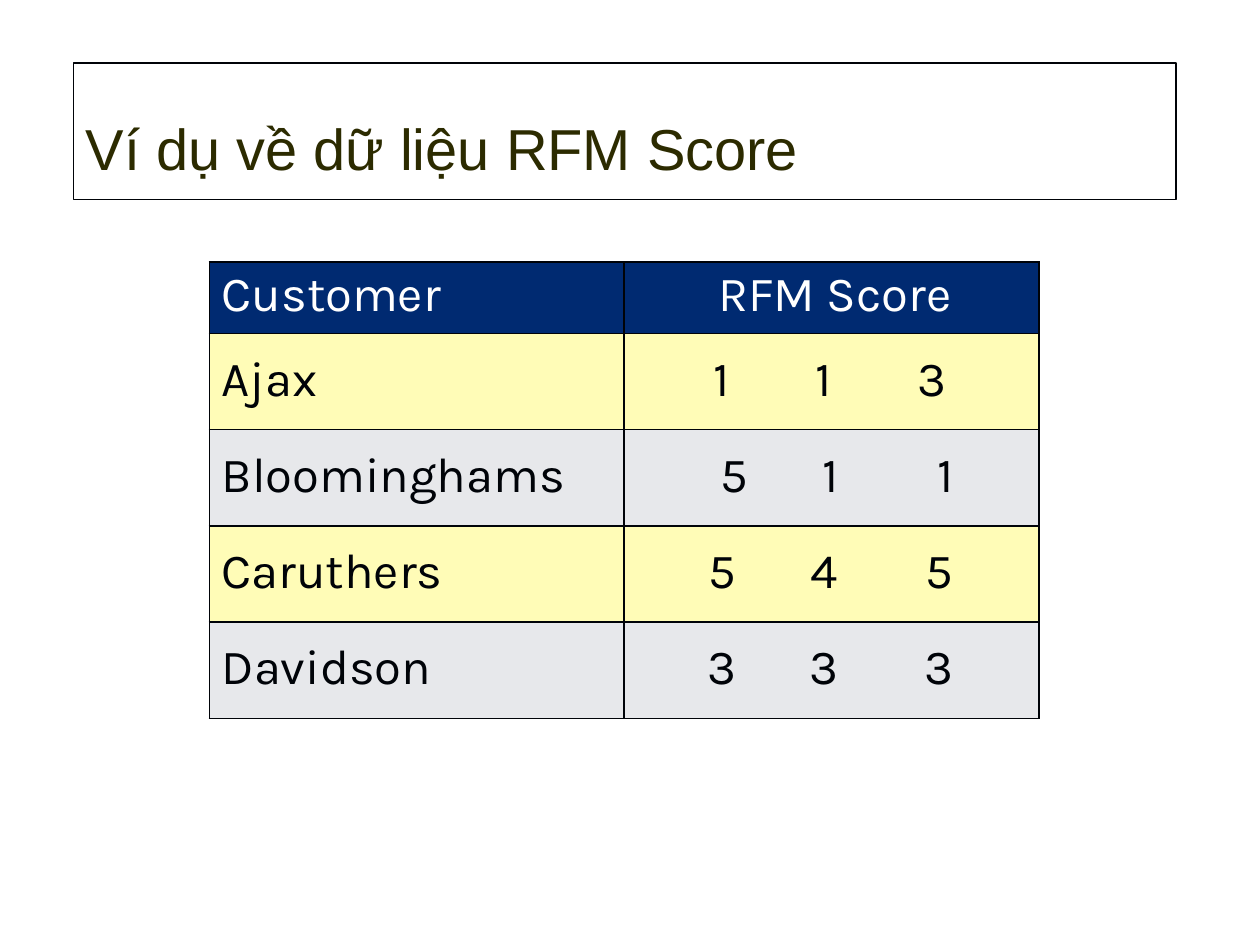
from lxml import etree
from pptx import Presentation
from pptx.dml.color import RGBColor
from pptx.enum.text import MSO_ANCHOR, MSO_AUTO_SIZE, PP_ALIGN
from pptx.oxml.ns import qn
from pptx.util import Cm, Pt

LEFT = PP_ALIGN.LEFT
MIDDLE, TOP = MSO_ANCHOR.MIDDLE, MSO_ANCHOR.TOP
NO_AUTOFIT = MSO_AUTO_SIZE.NONE

INK = RGBColor(0x00, 0x03, 0x08)
OLIVE = RGBColor(0x2C, 0x2B, 0x00)
NAVY = RGBColor(0x00, 0x2A, 0x71)
YELLOW = RGBColor(0xFF, 0xFC, 0xB7)
GREY = RGBColor(0xE7, 0xE8, 0xEB)
WHITE = RGBColor(0xFF, 0xFF, 0xFF)

TEXT_INDENT = 0.25
HEADER_HEIGHT, ROW_HEIGHT = 1.44, 1.94
HEADER_INSET, ROW_INSET = 0.1, 0.36
FIRST_TAB = 2.06
# Customer, scores, indent of the scores, second tab stop (cm)
CUSTOMERS = [
    ("Ajax", (1, 1, 3), 1.8, 4.11),
    ("Bloominghams", (5, 1, 1), 1.95, 4.37),
    ("Caruthers", (5, 4, 5), 1.7, 4.37),
    ("Davidson", (3, 3, 3), 1.68, 4.37),
]


def set_font(para, name, size, color):
    para.font.name = name
    para.font.size = Pt(size)
    para.font.color.rgb = color


def add_tabs(para, stops):
    tab_list = etree.SubElement(para._p.get_or_add_pPr(), qn("a:tabLst"))
    for stop in stops:
        etree.SubElement(tab_list, qn("a:tab"), pos=str(Cm(stop)), algn="l")


def add_borders(cell):
    properties = cell._tc.get_or_add_tcPr()
    for side in ("lnL", "lnR", "lnT", "lnB"):
        line = etree.SubElement(properties, qn(f"a:{side}"), w=str(Pt(1)))
        fill = etree.SubElement(line, qn("a:solidFill"))
        etree.SubElement(fill, qn("a:srgbClr"), val=str(INK))


def fill_cell(cell, text, indent, inset, fill, color, tabs=()):
    add_borders(cell)
    cell.fill.solid()
    cell.fill.fore_color.rgb = fill
    cell.margin_left, cell.margin_top = Cm(indent), Cm(inset)
    cell.margin_right = cell.margin_bottom = 0
    cell.vertical_anchor = TOP
    cell.text = text
    para = cell.text_frame.paragraphs[0]
    para.alignment = LEFT
    if tabs:
        add_tabs(para, tabs)
    set_font(para, "Karla", 28, color)


def place_title(page, left, top, width, height):
    title = page.shapes.title
    title.left, title.top = Cm(left), Cm(top)
    title.width, title.height = Cm(width), Cm(height)
    title.line.color.rgb = INK
    title.line.width = Pt(0.75)
    frame = title.text_frame
    frame.auto_size = NO_AUTOFIT
    frame.vertical_anchor = MIDDLE
    frame.margin_left, frame.margin_top = Cm(TEXT_INDENT), Cm(0.66)
    frame.margin_right = frame.margin_bottom = 0
    frame.text = "Ví dụ về dữ liệu RFM Score"
    para = frame.paragraphs[0]
    para.alignment = LEFT
    set_font(para, "Arial", 33, OLIVE)


def add_score_table(page, left, top, width):
    height = HEADER_HEIGHT + ROW_HEIGHT * len(CUSTOMERS)
    table = page.shapes.add_table(
        len(CUSTOMERS) + 1, 2, Cm(left), Cm(top), Cm(width), Cm(height)
    ).table
    for column in table.columns:
        column.width = Cm(width / 2)
    for row in table.rows:
        row.height = Cm(ROW_HEIGHT)
    table.rows[0].height = Cm(HEADER_HEIGHT)

    for column, (heading, indent) in enumerate(
        [("Customer", TEXT_INDENT), ("RFM Score", 1.9)]
    ):
        fill_cell(table.cell(0, column), heading, indent, HEADER_INSET, NAVY, WHITE)
    for row, (name, scores, indent, last_tab) in enumerate(CUSTOMERS, 1):
        fill = YELLOW if row % 2 else GREY
        fill_cell(table.cell(row, 0), name, TEXT_INDENT, ROW_INSET, fill, INK)
        fill_cell(table.cell(row, 1), "\t".join(map(str, scores)), indent,
                  ROW_INSET, fill, INK, (FIRST_TAB, last_tab))


def main():
    deck = Presentation()
    deck.slide_width, deck.slide_height = Cm(25.4), Cm(19.05)
    page = deck.slides.add_slide(deck.slide_layouts[5])
    place_title(page, 1.48, 1.27, 22.23, 2.75)
    add_score_table(page, 4.22, 5.28, 16.72)
    deck.save("out.pptx")


if __name__ == "__main__":
    main()
